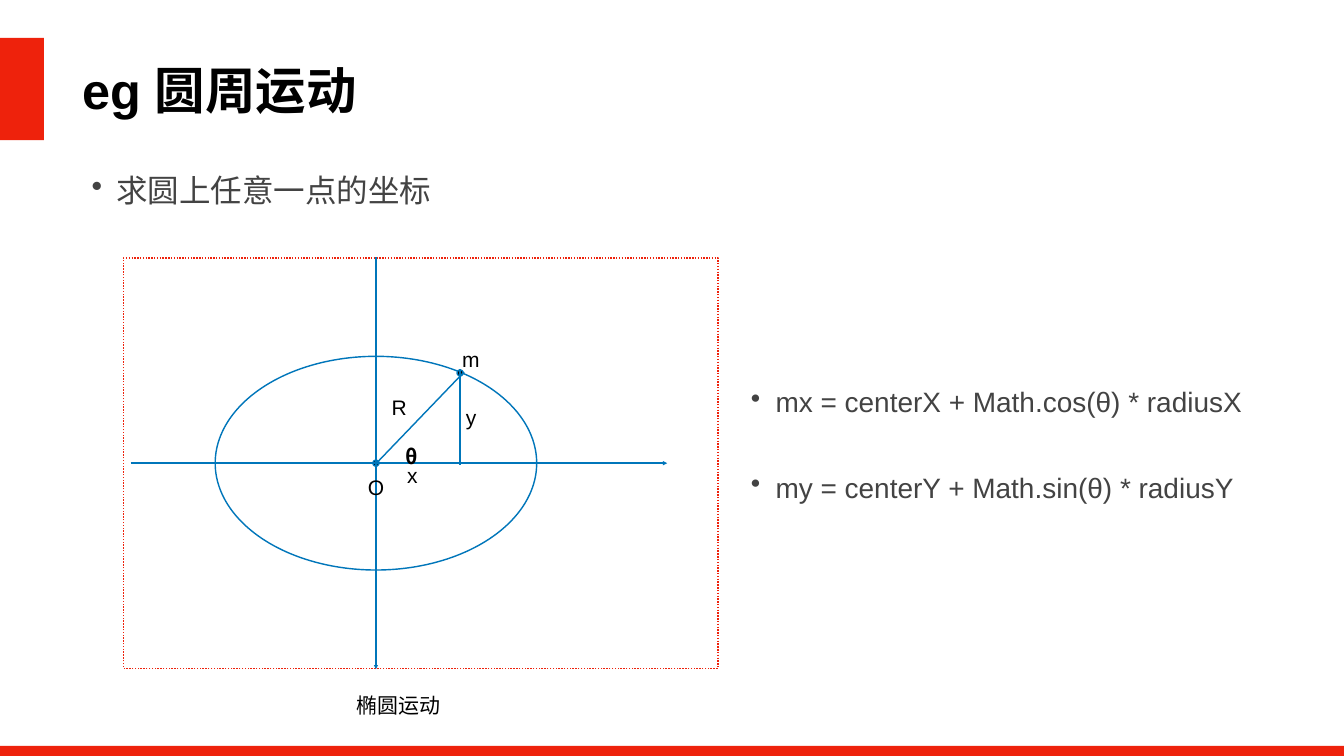
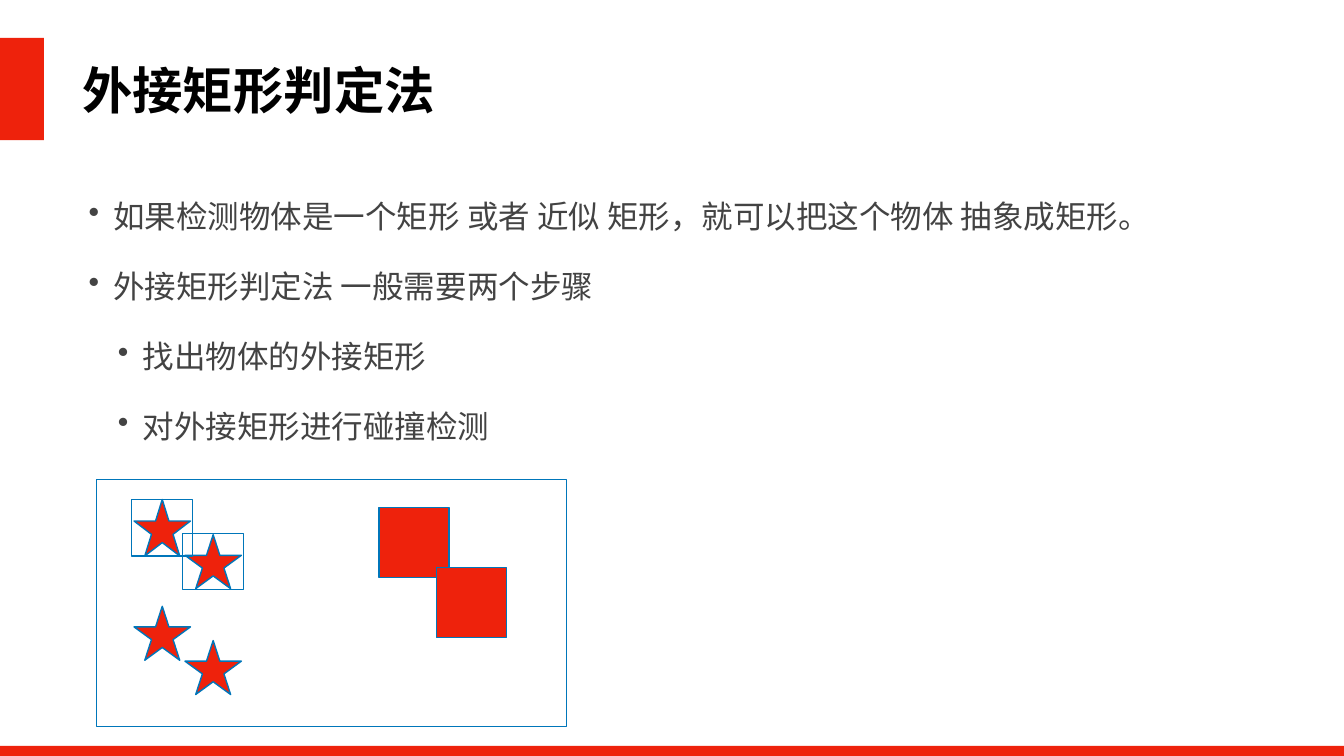
from pptx import Presentation
from pptx.dml.color import RGBColor
from pptx.enum.dml import MSO_LINE
from pptx.enum.shapes import MSO_CONNECTOR, MSO_SHAPE
from pptx.enum.text import MSO_ANCHOR, MSO_AUTO_SIZE, PP_ALIGN
from pptx.oxml.ns import qn
from pptx.util import Pt
from lxml import etree

PX = 9144  # 100 px to the inch
RECT, OVAL, STAR = MSO_SHAPE.RECTANGLE, MSO_SHAPE.OVAL, MSO_SHAPE.STAR_5_POINT
LEFT, CENTER = PP_ALIGN.LEFT, PP_ALIGN.CENTER
COLORS = {
    "red": "EE220C",
    "blue": "0076BA",
    "white": "FFFFFF",
    "black": "000000",
    "gray": "434343",
}
COLORS = {name: RGBColor.from_string(value) for name, value in COLORS.items()}
INDENT = 49


def add_shape(page, kind, left, top, width, height, fill=None, line=None):
    shape = page.shapes.add_shape(kind, left * PX, top * PX, width * PX, height * PX)
    shape.shadow.inherit = False
    if fill:
        shape.fill.solid()
        shape.fill.fore_color.rgb = COLORS[fill]
    else:
        shape.fill.background()
    if line:
        shape.line.color.rgb = COLORS[line]
        shape.line.width = Pt(2)
    else:
        shape.line.fill.background()
    return shape


def add_text(page, text, left, top, width, height, size, color="black",
             bold=False, align=LEFT, wrap=True, spacing=None, bullet=False, font="Arial"):
    box = page.shapes.add_textbox(left * PX, top * PX, width * PX, height * PX)
    frame = box.text_frame
    frame.text = text
    frame.word_wrap = wrap
    frame.auto_size = MSO_AUTO_SIZE.SHAPE_TO_FIT_TEXT
    frame.vertical_anchor = MSO_ANCHOR.MIDDLE
    frame.margin_left = frame.margin_right = 6 * PX
    frame.margin_top = frame.margin_bottom = 6 * PX
    para = frame.paragraphs[0]
    para.alignment = align
    if spacing:
        para.line_spacing = spacing
    if bullet:
        properties = para._p.get_or_add_pPr()
        properties.set("marL", str(INDENT * PX))
        properties.set("indent", str(-INDENT * PX))
        etree.SubElement(properties, qn("a:buChar")).set("char", "•")
    span = para.runs[0]
    span.font.name = font
    span.font.size = Pt(size)
    span.font.bold = bold
    span.font.color.rgb = COLORS[color]


deck = Presentation()
deck.slide_width, deck.slide_height = 2667 * PX, 1500 * PX

# Title, side tab and bottom band on every slide
pages = []
for title in ("eg 圆周运动", "外接矩形判定法"):
    page = deck.slides.add_slide(deck.slide_layouts[6])
    add_text(page, title, 157, 102, 2206, 150, 72, bold=True)
    add_shape(page, RECT, -5, 75, 92, 203, "red")
    add_shape(page, RECT, 0, 1480, 2667, 50, "red")
    pages.append(page)
motion, collision = pages

# Circular motion: frame, orbit and points
frame_box = add_shape(motion, RECT, 245, 512, 1180, 814, "white", "red")
frame_box.line.dash_style = MSO_LINE.ROUND_DOT
add_text(motion, "求圆上任意一点的坐标", 176, 308, 2369, 99, 45, "gray",
         spacing=1.5, bullet=True)
add_shape(motion, OVAL, 427, 707, 638, 424, "white", "blue")
for left, top in ((740, 913), (907, 734)):
    add_shape(motion, OVAL, left, top, 12, 12, "black", "blue")

# Axes with arrows, then the radius and the height
for x1, y1, x2, y2, is_axis in (
    (746, 510, 746, 1328, True),
    (259, 919, 1324, 919, True),
    (749, 917, 921, 738, False),
    (913, 733, 913, 922, False),
):
    line = motion.shapes.add_connector(
        MSO_CONNECTOR.STRAIGHT, x1 * PX, y1 * PX, x2 * PX, y2 * PX)
    line.line.color.rgb = COLORS["blue"]
    line.line.width = Pt(2)
    if is_axis:
        etree.SubElement(line.line._get_or_add_ln(), qn("a:tailEnd")).set("type", "triangle")
    etree.SubElement(line._element.spPr, qn("a:effectLst"))

# Labels in the diagram and its caption
for label, left, top, width, height in (
    ("O", 724, 935, 44, 61),
    ("R", 771, 777, 42, 61),
    ("x", 801, 913, 35, 61),
    ("y", 918, 797, 34, 61),
    ("m", 910, 682, 49, 61),
    ("椭圆运动", 702, 1364, 179, 69),
):
    add_text(motion, label, left, top, width, height, 30, align=CENTER, wrap=False)
add_text(motion, "θ", 799, 869, 39, 51, 29, bold=True, wrap=False,
         spacing=Pt(50), font="Noto Sans CJK SC")

# Formulas
for row, formula in enumerate((
    "mx = centerX + Math.cos(θ) * radiusX",
    "my = centerY + Math.sin(θ) * radiusY",
)):
    add_text(motion, formula, 1484, 742 + 170 * row, 1170, 76, 40, "gray",
             spacing=1.5, bullet=True)

# Bounding rectangles: points on two levels
for row, (level, text) in enumerate((
    (0, "如果检测物体是一个矩形 或者 近似 矩形，就可以把这个物体 抽象成矩形。"),
    (0, "外接矩形判定法 一般需要两个步骤"),
    (1, "找出物体的外接矩形"),
    (1, "对外接矩形进行碰撞检测"),
)):
    add_text(collision, text, 170 + 58 * level, 371 + 139 * row, 2369, 99, 45, "gray",
             spacing=1.2, bullet=True)

# Panel with stars, their bounding rectangles and colliding squares
add_shape(collision, RECT, 191, 951, 933, 490, "white", "blue")
for left, top, height in ((266, 991, 112), (367, 1061, 107),
                          (266, 1203, 107), (367, 1271, 107)):
    add_shape(collision, STAR, left, top, 112, height, "red", "blue")
for left, top in ((261, 991), (362, 1058)):
    add_shape(collision, RECT, left, top, 121, 112, line="blue")
for left, top in ((752, 1007), (866, 1126)):
    add_shape(collision, RECT, left, top, 139, 139, "red", "blue")

deck.save("out.pptx")
